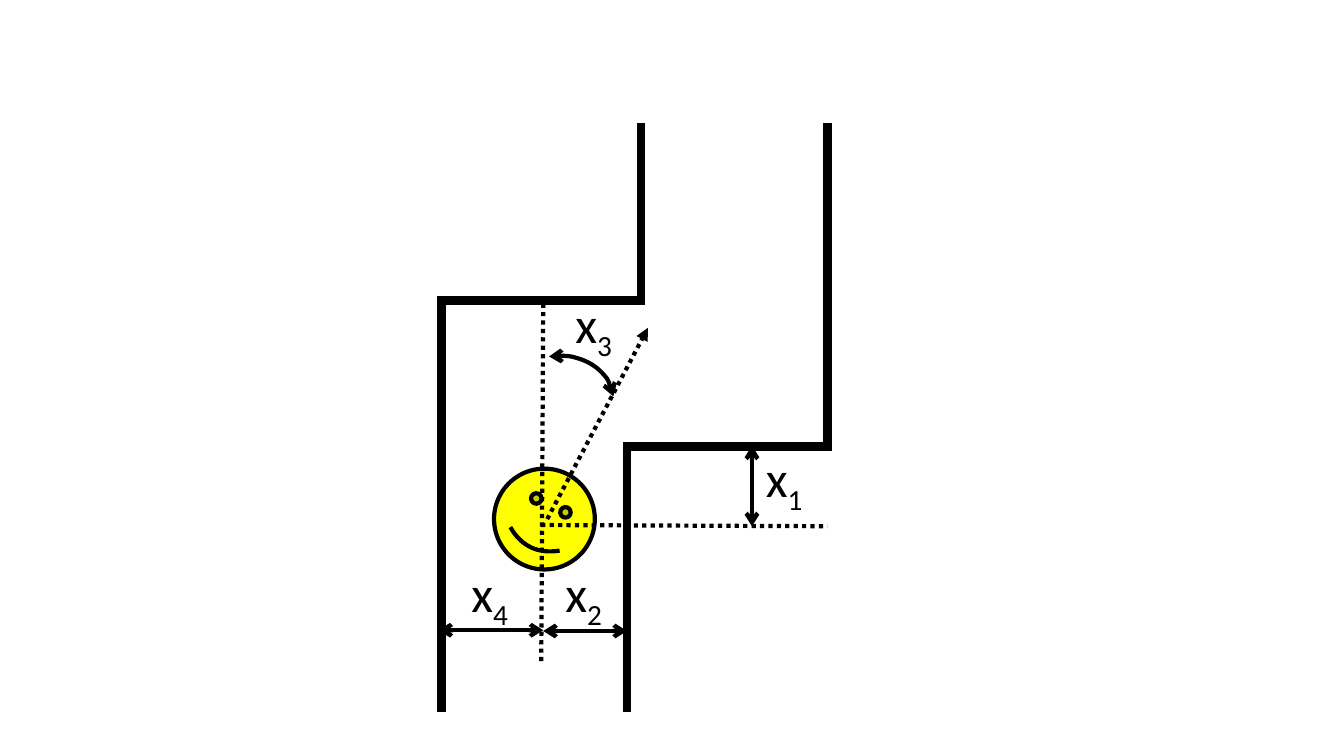
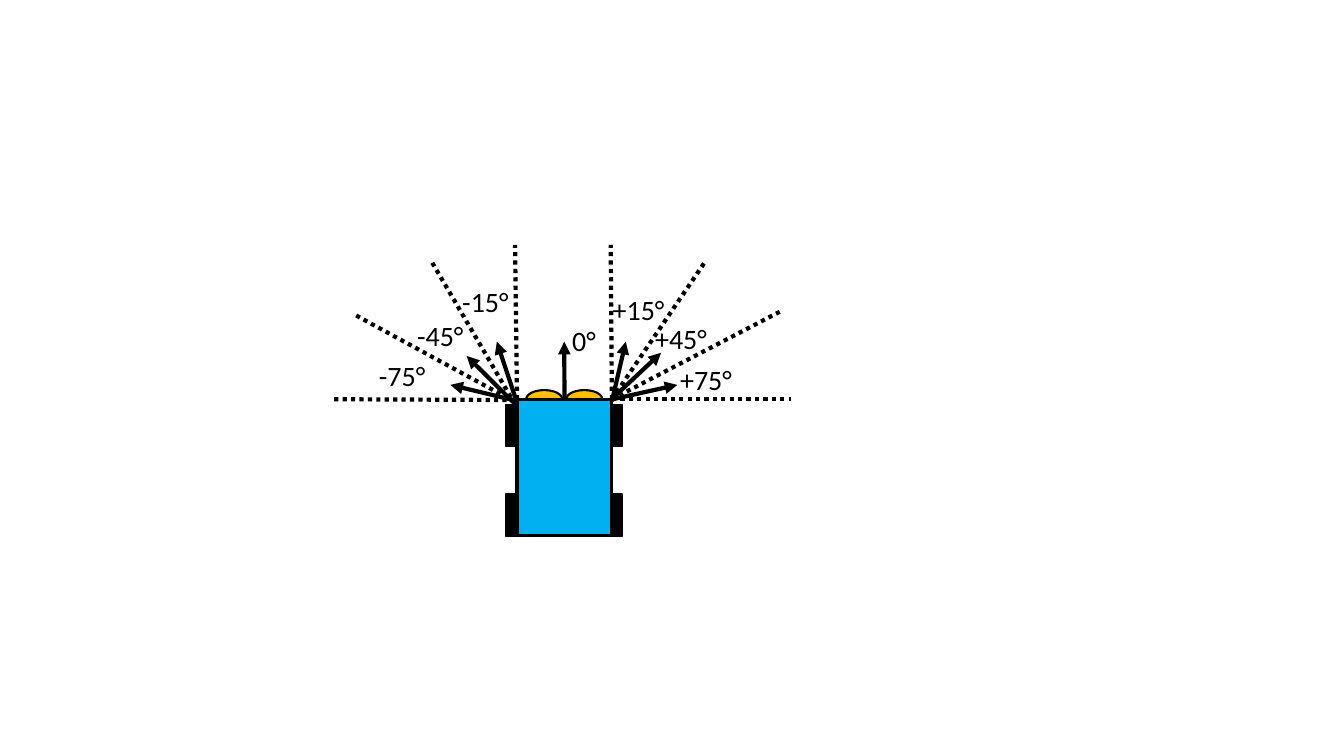
"""Build two robot-sensing diagrams: a corridor with distances and a car with headings."""
from dataclasses import dataclass

import lxml.etree
import pptx
import pptx.dml.color
import pptx.dml.line
import pptx.enum.dml
import pptx.enum.shapes
import pptx.enum.text
import pptx.oxml.ns
import pptx.shapes.autoshape
import pptx.shapes.connector
import pptx.shapes.shapetree
import pptx.util

Cm = pptx.util.Cm
Pt = pptx.util.Pt
RGBColor = pptx.dml.color.RGBColor
Preset = pptx.enum.shapes.MSO_SHAPE
Group = pptx.shapes.shapetree.GroupShapes
Shape = pptx.shapes.autoshape.Shape
Connector = pptx.shapes.connector.Connector
Point = tuple[float, float]

BLACK = RGBColor(0x00, 0x00, 0x00)
FACE_YELLOW = RGBColor(0xFF, 0xFF, 0x00)
LAMP_ORANGE = RGBColor(0xFF, 0xC0, 0x00)
BODY_BLUE = RGBColor(0x00, 0xB0, 0xF0)
FONT = "Calibri"
STROKE = 3


@dataclass(frozen=True)
class Ray:
    """Straight line with optional dots and arrowheads."""
    start: Point
    end: Point
    dotted: bool = False
    head: str = ""
    tail: str = ""


@dataclass(frozen=True)
class Label:
    """Text with an optional subscript at a position."""
    text: str
    left: float
    top: float
    subscript: str = ""


def add_line_part(line: pptx.dml.line.LineFormat, tag: str, **attributes: str) -> None:
    """Append a join or arrowhead to a line that is already coloured."""
    outline = line._get_or_add_ln()
    lxml.etree.SubElement(outline, pptx.oxml.ns.qn(tag), attributes)


def add_arrowheads(line: pptx.dml.line.LineFormat, head: str, tail: str) -> None:
    """Set the arrowheads at the two ends of a line."""
    for tag, kind in (("a:headEnd", head), ("a:tailEnd", tail)):
        if kind:
            add_line_part(line, tag, type=kind)


def style_line(line: pptx.dml.line.LineFormat, width: float) -> None:
    """Make a line black with the given width."""
    line.color.rgb = BLACK
    line.width = Pt(width)


def draw_shape(group: Group, preset: Preset, box: tuple[float, float, float, float],
               fill: RGBColor | None, width: float) -> Shape:
    """Draw an outlined preset shape."""
    shape = group.add_shape(preset, *(Cm(length) for length in box))
    shape.shadow.inherit = False
    if fill is None:
        shape.fill.background()
    else:
        shape.fill.solid()
        shape.fill.fore_color.rgb = fill
    style_line(shape.line, width)
    return shape


def draw_ray(group: Group, ray: Ray) -> Connector:
    """Draw a straight connector."""
    connector = group.add_connector(
        pptx.enum.shapes.MSO_CONNECTOR.STRAIGHT,
        *(Cm(length) for length in ray.start + ray.end))
    style_line(connector.line, STROKE)
    if ray.dotted:
        connector.line.dash_style = pptx.enum.dml.MSO_LINE.ROUND_DOT
    add_arrowheads(connector.line, ray.head, ray.tail)
    lxml.etree.SubElement(connector._element.spPr, pptx.oxml.ns.qn("a:effectLst"))
    return connector


def draw_wall(group: Group, corners: list[Point]) -> None:
    """Draw an open wall outline with sharp corners."""
    points = [(Cm(x), Cm(y)) for x, y in corners]
    builder = group.build_freeform(*points[0])
    builder.add_line_segments(points[1:], close=False)
    wall = builder.convert_to_shape()
    wall.shadow.inherit = False
    wall.fill.background()
    style_line(wall.line, 6)
    add_line_part(wall.line, "a:miter", lim="800000")


def draw_label(group: Group, label: Label, width: float, height: float, size: float) -> None:
    """Draw a label run by run."""
    caption = group.add_textbox(Cm(label.left), Cm(label.top), Cm(width), Cm(height))
    frame = caption.text_frame
    frame.word_wrap = True
    frame.auto_size = pptx.enum.text.MSO_AUTO_SIZE.SHAPE_TO_FIT_TEXT
    for text, baseline in ((label.text, ""), (label.subscript, "-25000")):
        if not text:
            continue
        run = frame.paragraphs[0].add_run()
        run.text = text
        run.font.name = FONT
        run.font.size = Pt(size)
        run.font.color.rgb = BLACK
        if baseline:
            run._r.get_or_add_rPr().set("baseline", baseline)


def draw_corridor(group: Group) -> None:
    """Draw the robot in a corridor with its four state variables."""
    bottom, top = 17.93, 3.1
    for near, far, bend in ((15.8, 20.85, 11.25), (11.13, 16.15, 7.57)):
        draw_wall(group, [(near, bottom), (near, bend), (far, bend), (far, top)])

    robot = draw_shape(group, Preset.SMILEY_FACE, (12.45, 11.81, 2.54, 2.54),
                       FACE_YELLOW, STROKE)
    robot.rotation = 25.4

    for ray in (
        Ray((13.64, 13.23), (20.85, 13.26), dotted=True),
        Ray((13.64, 16.66), (13.69, 7.59), dotted=True),
        Ray((13.79, 13.08), (16.33, 8.26), dotted=True, tail="triangle"),
        Ray((18.95, 13.26), (18.95, 11.23), head="arrow", tail="arrow"),
        Ray((13.69, 15.9), (15.8, 15.9), head="arrow", tail="arrow"),
        Ray((11.05, 15.88), (13.69, 15.88), head="arrow", tail="arrow"),
    ):
        draw_ray(group, ray)

    angle = draw_shape(group, Preset.ARC, (12.57, 8.97, 2.9, 2.41), None, STROKE)
    angle.adjustments[0] = 162
    angle.adjustments[1] = 0.77
    angle.rotation = 351.3
    add_arrowheads(angle.line, "arrow", "arrow")

    for label in (
        Label("x", 19.05, 11.15, "1"),
        Label("x", 14.0, 14.05, "2"),
        Label("x", 14.25, 7.26, "3"),
        Label("x", 11.63, 14.05, "4"),
    ):
        draw_label(group, label, 1.7, 1.8, 36)


def draw_car(group: Group) -> None:
    """Draw the car with its sensor sectors and headings."""
    for left in (12.75, 15.27):
        for top in (10.19, 12.45):
            draw_shape(group, Preset.RECTANGLE, (left, top, 0.41, 1.07), BLACK, 1)
    for left in (13.26, 14.27):
        draw_shape(group, Preset.OVAL, (left, 9.83, 0.91, 0.46), LAMP_ORANGE, 1.5)
    body = draw_shape(group, Preset.RECTANGLE, (13.03, 10.06, 2.39, 3.43), BODY_BLUE, 2.25)

    right_corner = (15.42, 10.06)
    for start, end in (
        ((13.03, 10.06), (12.98, 6.17)),
        (right_corner, (15.39, 6.17)),
        (right_corner, (17.78, 6.58)),
        (right_corner, (19.66, 7.85)),
        (right_corner, (19.94, 10.06)),
        ((12.98, 10.19), (10.87, 6.58)),
        ((12.98, 10.13), (8.92, 7.92)),
        ((12.98, 10.08), (8.41, 10.06)),
    ):
        draw_ray(group, Ray(start, end, dotted=True))

    forward = draw_ray(group, Ray((14.22, 10.06), (14.22, 8.61), tail="triangle"))
    forward.begin_connect(body, 0)
    for start, end in (
        ((15.42, 10.11), (15.77, 8.61)),
        ((15.39, 10.08), (16.66, 8.89)),
        ((15.44, 10.06), (17.07, 9.7)),
        ((13.0, 10.06), (12.52, 8.61)),
        ((12.93, 10.13), (11.76, 8.97)),
        ((13.06, 10.11), (11.35, 9.7)),
    ):
        draw_ray(group, Ray(start, end, tail="triangle"))

    for label in (
        Label("0°", 14.17, 8.03),
        Label("+15°", 15.19, 7.24),
        Label("+45°", 16.26, 7.98),
        Label("+75°", 16.89, 9.02),
        Label("-75°", 9.3, 8.92),
        Label("-45°", 10.26, 7.9),
        Label("-15°", 11.4, 7.04),
    ):
        draw_label(group, label, 1.4 if label.text == "0°" else 2.0, 1.12, 20)


def main() -> None:
    """Create and save the presentation."""
    presentation = pptx.Presentation()
    presentation.slide_width = Cm(33.87)
    presentation.slide_height = Cm(19.05)
    blank = presentation.slide_layouts[6]
    for draw_diagram in (draw_corridor, draw_car):
        slide = presentation.slides.add_slide(blank)
        draw_diagram(slide.shapes.add_group_shape().shapes)
    presentation.save("out.pptx")


if __name__ == "__main__":
    main()
